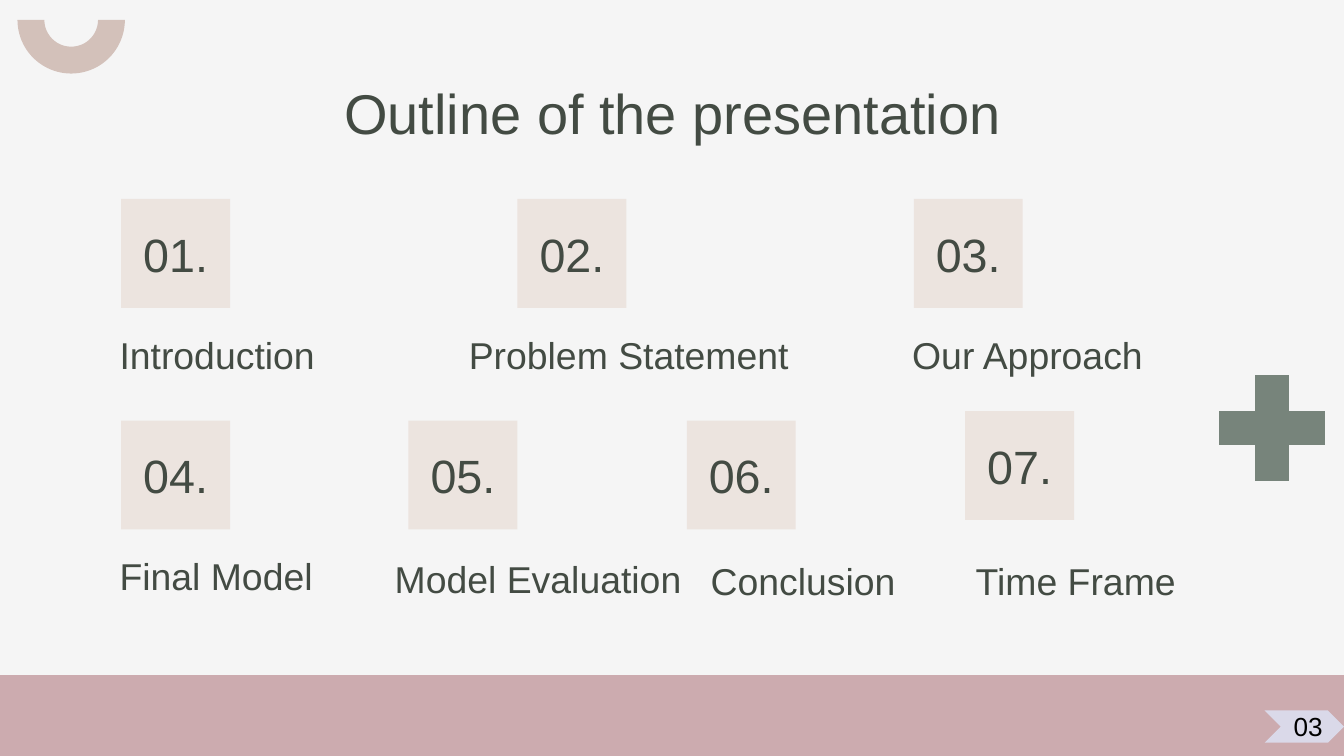
from pptx import Presentation
from pptx.dml.color import RGBColor
from pptx.enum.shapes import MSO_SHAPE
from pptx.enum.text import MSO_ANCHOR, PP_ALIGN
from pptx.util import Cm, Pt

RECTANGLE = MSO_SHAPE.RECTANGLE
BLOCK_ARC = MSO_SHAPE.BLOCK_ARC
PLUS = MSO_SHAPE.MATH_PLUS
CHEVRON = MSO_SHAPE.CHEVRON
LEFT, CENTER = PP_ALIGN.LEFT, PP_ALIGN.CENTER
TOP, MIDDLE = MSO_ANCHOR.TOP, MSO_ANCHOR.MIDDLE

COLORS = {
    "background": "F5F5F5", "band": "CCABAF", "arc": "D3C1BA",
    "plus": "77847B", "tile": "ECE4DF", "text": "434B43",
    "chevron": "DAD9E9", "page": "000000",
}
FONT = "Arial"
SLIDE_WIDTH, SLIDE_HEIGHT = 25.4, 14.29
TILE_SIZE, LABEL_HEIGHT = 2.06, 1.37

# Each item: number, tile left, tile top, label, label left, label top, label width
TOP_ROW = [
    ("01.", 2.29, 3.76, "Introduction", 2.01, 6.02, 6.4),
    ("02.", 9.78, 3.76, "Problem Statement", 8.61, 6.02, 7.29),
    ("03.", 17.27, 3.76, "Our Approach", 16.99, 6.02, 7.29),
]
BOTTOM_ROW = [
    ("04.", 2.29, 7.95, "Final Model", 2.01, 10.21, 4.52),
    ("05.", 7.72, 7.95, "Model Evaluation", 7.21, 10.26, 6.4),
    ("06.", 12.98, 7.95, "Conclusion", 13.18, 10.31, 5),
    ("07.", 18.24, 7.77, "Time Frame", 18.19, 10.31, 7.1),
]


def add_block(slide, kind, box, color):
    shape = slide.shapes.add_shape(kind, *map(Cm, box))
    shape.shadow.inherit = False
    shape.fill.solid()
    shape.fill.fore_color.rgb = RGBColor.from_string(COLORS[color])
    shape.line.fill.background()
    return shape


def write(shape, text, size, color="text", align=LEFT, anchor=TOP, inset=0.25):
    frame = shape.text_frame
    frame.word_wrap = True
    frame.vertical_anchor = anchor
    frame.margin_left = frame.margin_right = Cm(0.25)
    frame.margin_top = frame.margin_bottom = Cm(inset)
    frame.text = text
    paragraph = frame.paragraphs[0]
    paragraph.alignment = align
    font = paragraph.runs[0].font
    font.name, font.size = FONT, Pt(size)
    font.color.rgb = RGBColor.from_string(COLORS[color])


def add_text(slide, box, text, size, **options):
    write(slide.shapes.add_textbox(*map(Cm, box)), text, size, **options)


def add_decoration(slide, box):
    left, top, width, height = box
    # Bottom band
    band_top = 12.76
    add_block(slide, RECTANGLE,
              (left, top + band_top, width, height - band_top), "band")
    # Half ring in the top left corner
    arc = add_block(slide, BLOCK_ARC, (left + 0.33, top - 0.64, 2.03, 2.03), "arc")
    arc.rotation = 180
    for index, value in enumerate((108, 0, 0.25)):
        arc.adjustments[index] = value
    # Plus at the right edge
    plus_size = 2.72
    plus = add_block(slide, PLUS, (left + width - plus_size, top + 6.73,
                                   plus_size, plus_size), "plus")
    plus.adjustments[0] = 0.235


def add_outline_item(slide, item):
    number, tile_left, tile_top, label, label_left, label_top, label_width = item
    tile = add_block(slide, RECTANGLE,
                     (tile_left, tile_top, TILE_SIZE, TILE_SIZE), "tile")
    write(tile, number, 25, align=CENTER, anchor=MIDDLE)
    add_text(slide, (label_left, label_top, label_width, LABEL_HEIGHT), label, 20)


def add_page_number(slide, box, number):
    left, top, width, height = box
    add_block(slide, CHEVRON, box, "chevron")
    add_text(slide, (left + 0.3, top - 0.13, width - 0.3, height + 0.25),
             number, 14, color="page", inset=0.13)


def build_outline_slide(presentation):
    slide = presentation.slides.add_slide(presentation.slide_layouts[6])
    slide.background.fill.solid()
    slide.background.fill.fore_color.rgb = RGBColor.from_string(COLORS["background"])
    add_decoration(slide, (0, 0, SLIDE_WIDTH, SLIDE_HEIGHT))
    add_text(slide, (2.01, 1.24, 21.41, 1.6), "Outline of the presentation",
             30, align=CENTER)
    for item in TOP_ROW + BOTTOM_ROW:
        add_outline_item(slide, item)
    add_page_number(slide, (23.9, 13.43, 1.5, 0.61), "03")


def main():
    presentation = Presentation()
    presentation.slide_width = Cm(SLIDE_WIDTH)
    presentation.slide_height = Cm(SLIDE_HEIGHT)
    build_outline_slide(presentation)
    presentation.save("out.pptx")


if __name__ == "__main__":
    main()
